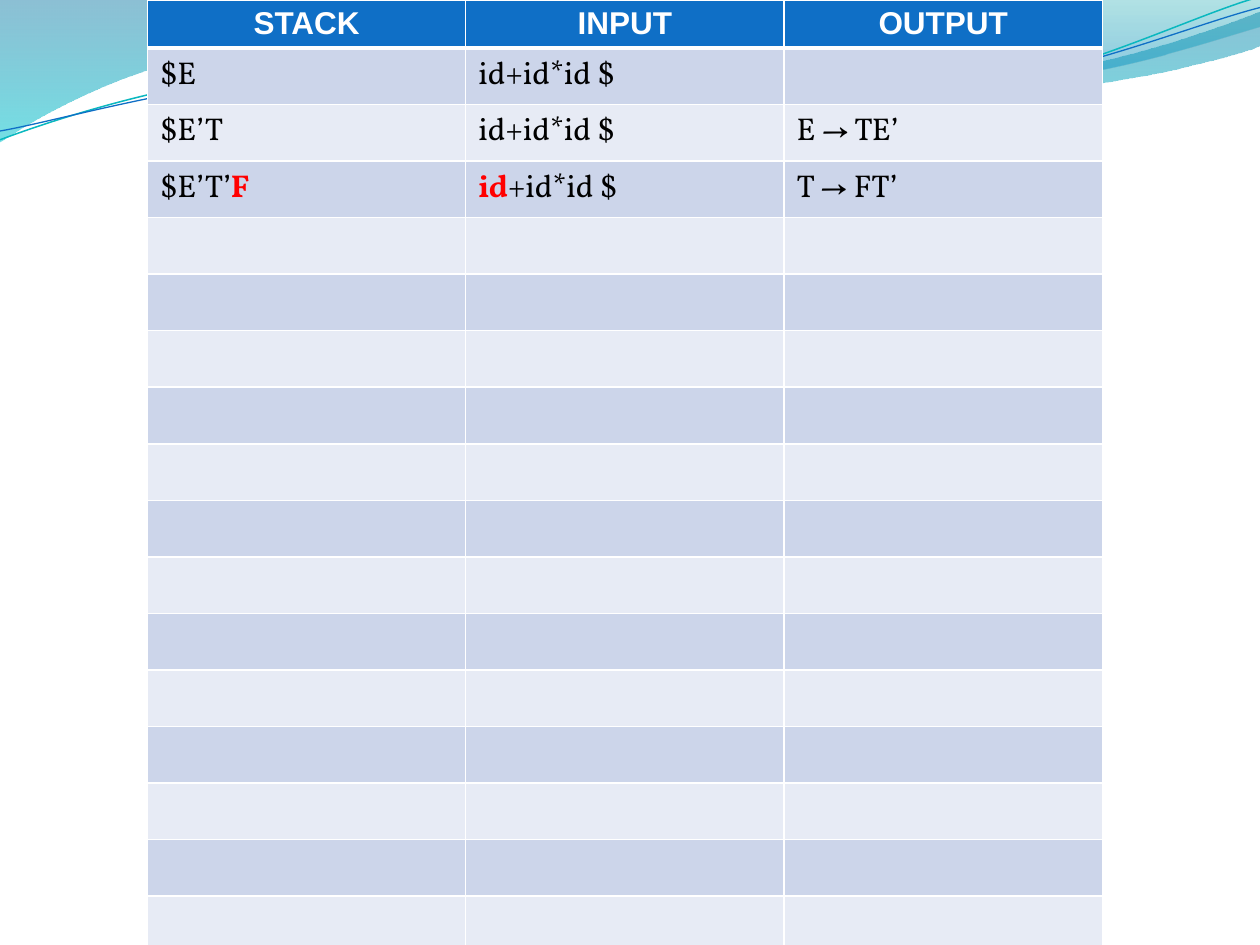
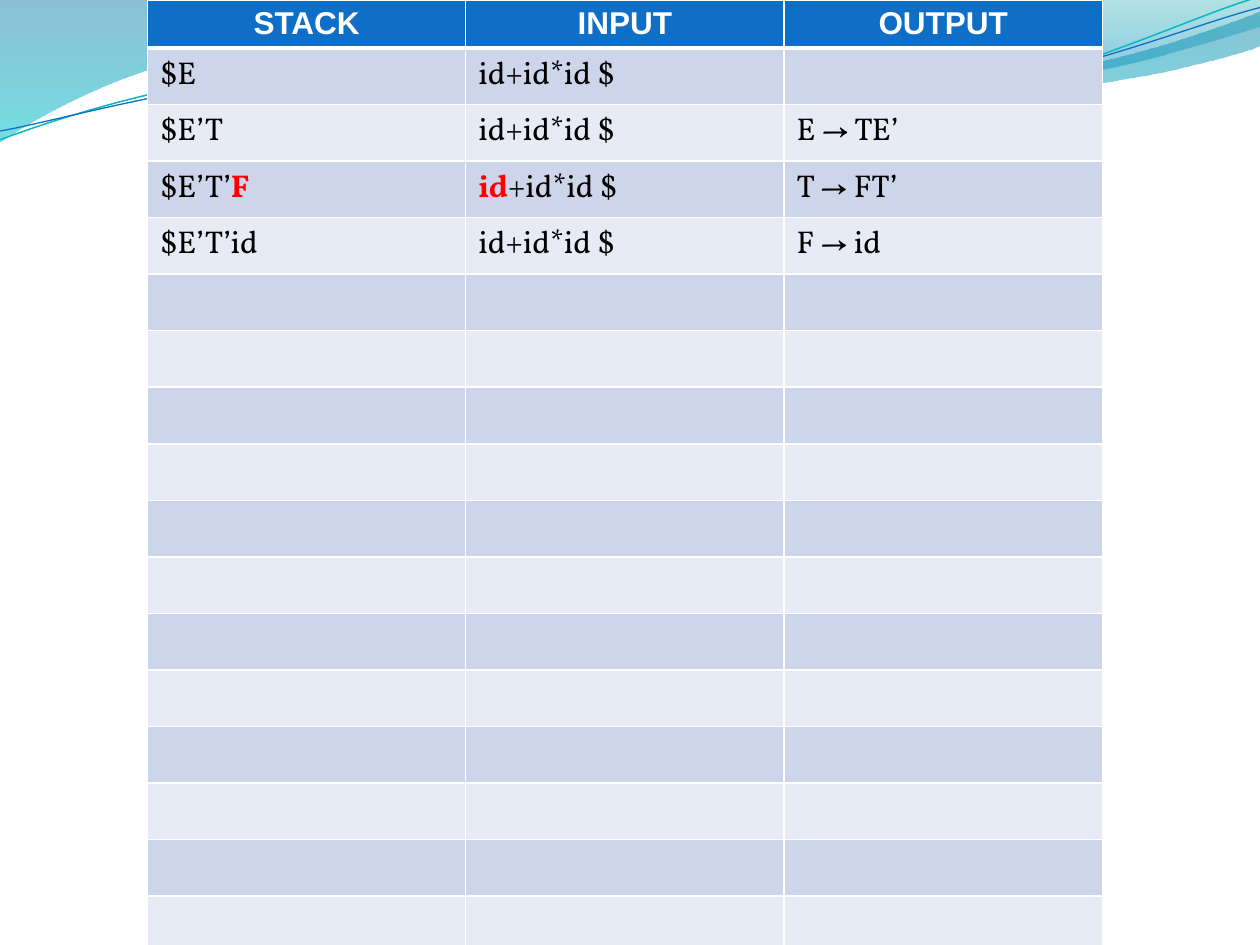
from lxml import etree
from pptx import Presentation
from pptx.dml.color import RGBColor
from pptx.enum import text
from pptx.oxml import ns
from pptx.util import Inches, Pt

COLORS = {
    "white": "FFFFFF", "ink": "000000", "accent": "FF0000", "header": "0F6FC6",
    "odd_row": "CCD5EA", "even_row": "E7EBF5", "teal_line": "0AB8BF",
    "blue": "0074A1", "cyan": "00C6CF", "teal": "00A1A9", "sky": "008BBF",
}
HEADER_FONT, BODY_FONT, FONT_SIZE = "Arial", "Vollkorn", 18
PAGE_BOX = (0, 0, 10, 7.5)
TABLE_BOX = (1.17, 0, 7.58, 7.2)
ROW_COUNT, ROW_HEIGHT = 18, 0.32

# Each outline is a start point, then segments: one point for a line, three for a curve.
LEFT_WAVE = [
    (0, -0.01), [(4.4, -0.01)],
    [(4.76, 0.17), (6.64, 0.63), (7.58, 0.63)], [(8.53, 0.63), (9.58, 0.26), (10, 0.09)],
    [(10.01, 0.36)],
    [(9.83, 0.44), (8.7, 0.76), (7.46, 0.75)], [(6.22, 0.75), (3.82, 0.28), (2.57, 0.34)],
    [(1.29, 0.35), (0.46, 0.83), (-0.01, 1.13)], [(0, -0.01)],
]
RIGHT_WAVE = [
    (4.79, -0.01),
    [(5.09, 0.11), (6.82, 0.62), (7.69, 0.65)], [(8.56, 0.69), (9.61, 0.32), (10, 0.21)],
    [(10, 0)], [(4.79, -0.01)],
]
TEAL_CURVE = [
    (0, 1.11),
    [(0.48, 0.93), (1.58, 0.57), (2.77, 0.52)], [(3.95, 0.47), (5.93, 0.89), (7.13, 0.8)],
    [(8.33, 0.71), (9.38, 0.15), (9.98, -0.02)],
]
BLUE_CURVE = [
    (0, 1.04),
    [(0.47, 0.96), (1.64, 0.61), (2.83, 0.56)], [(4.03, 0.51), (5.97, 0.83), (7.17, 0.75)],
    [(8.36, 0.67), (9.41, 0.21), (10, 0.06)],
]
WAVES = [
    (LEFT_WAVE, [(0, "blue", 45), (100, "cyan", 55)]),
    (RIGHT_WAVE, [(0, "teal", 30), (80, "sky", 45)]),
]
CURVES = [(TEAL_CURVE, "teal_line", 0.85), (BLUE_CURVE, "header", 0.75)]

HEADINGS = ["STACK", "INPUT", "OUTPUT"]
INPUT = [("id+id*id $", False)]
FIRST_MOVES = [
    [[("$E", False)], INPUT, []],
    [[("$E’T", False)], INPUT, [("E → TE’", False)]],
    [[("$E’T’", False), ("F", True)], [("id", True), ("+id*id $", False)], [("T → FT’", False)]],
]
FOURTH_MOVE = [[("$E’T’id", False)], INPUT, [("F → id", False)]]


def rgb(name):
    """Return the named colour."""
    return RGBColor.from_string(COLORS[name])


def add_element(parent, tag, **attributes):
    """Append a DrawingML child with the given attributes."""
    values = {key: str(value) for key, value in attributes.items()}
    return etree.SubElement(parent, ns.qn(f"a:{tag}"), values)


def bend_segments(shape, segments):
    """Merge each three-point segment of a freeform into one cubic curve."""
    lines = iter(list(shape._element.iter(ns.qn("a:lnTo"))))
    for segment in segments:
        group = [next(lines) for _ in segment]
        if len(group) == 3:
            curve = etree.Element(ns.qn("a:cubicBezTo"))
            group[0].addprevious(curve)
            for line in group:
                curve.append(line[0])
                line.getparent().remove(line)


def add_outline(page, box, outline, close):
    """Draw an outline relative to the box, without fill or line."""
    left, top = box[:2]
    start, *segments = outline
    points = [start] + [point for segment in segments for point in segment]
    places = [(Inches(left + x), Inches(top + y)) for x, y in points]
    builder = page.shapes.build_freeform(*places[0])
    builder.add_line_segments(places[1:], close=close)
    shape = builder.convert_to_shape()
    bend_segments(shape, segments)
    shape.shadow.inherit = False
    shape.fill.background()
    shape.line.fill.background()
    return shape


def fill_gradient(shape, stops):
    """Give a shape a downward gradient with translucent stops."""
    old_fill = shape._element.spPr.find(ns.qn("a:noFill"))
    gradient = etree.Element(ns.qn("a:gradFill"), rotWithShape="1")
    stop_list = add_element(gradient, "gsLst")
    for position, color, opacity in stops:
        stop = add_element(stop_list, "gs", pos=position * 1000)
        paint = add_element(stop, "srgbClr", val=COLORS[color])
        add_element(paint, "alpha", val=opacity * 1000)
    add_element(gradient, "lin", ang=90 * 60000, scaled=0)
    old_fill.getparent().replace(old_fill, gradient)


def add_wave_band(page, box):
    """Draw the shared waves and curves along the top of the box."""
    for outline, stops in WAVES:
        fill_gradient(add_outline(page, box, outline, True), stops)
    for outline, color, width in CURVES:
        curve = add_outline(page, box, outline, False)
        curve.line.color.rgb = rgb(color)
        curve.line.width = Pt(width)


def style_cell(cell, fill, top, bottom):
    """Set white borders, with given top and bottom widths, and the fill."""
    properties = cell._tc.get_or_add_tcPr()
    for side, width in (("L", 1), ("R", 1), ("T", top), ("B", bottom)):
        border = add_element(properties, f"ln{side}", w=Pt(width))
        paint = add_element(border, "solidFill")
        add_element(paint, "srgbClr", val=COLORS["white"])
    cell.fill.solid()
    cell.fill.fore_color.rgb = rgb(fill)


def add_span(para, words, font, color, bold):
    """Add one formatted run."""
    span = para.add_run()
    span.text = words
    span.font.name = font
    span.font.size = Pt(FONT_SIZE)
    span.font.bold = bold
    span.font.color.rgb = rgb(color)


def add_parse_table(page, box, moves):
    """Place the parser trace table in the box, with spare rows below the moves."""
    frame = page.shapes.add_table(ROW_COUNT, len(HEADINGS), *map(Inches, box))
    table = frame.table
    for row in table.rows:
        row.height = Inches(ROW_HEIGHT)
    frame.height = Inches(box[3])
    for cell, heading in zip(table.rows[0].cells, HEADINGS):
        style_cell(cell, "header", 1, 3)
        para = cell.text_frame.paragraphs[0]
        para.alignment = text.PP_ALIGN.CENTER
        add_span(para, heading, HEADER_FONT, "white", True)
    spare_rows = [[[]] * len(HEADINGS)] * (ROW_COUNT - 1 - len(moves))
    for number, move in enumerate(moves + spare_rows, 1):
        for cell, spans in zip(table.rows[number].cells, move):
            style_cell(cell, "odd_row" if number % 2 else "even_row", 3 if number == 1 else 1, 1)
            para = cell.text_frame.paragraphs[0]
            for words, marked in spans:
                add_span(para, words, BODY_FONT, "accent" if marked else "ink", marked)
            if not spans:
                ending = add_element(para._p, "endParaRPr", sz=FONT_SIZE * 100)
                add_element(ending, "latin", typeface=BODY_FONT)


def add_trace_page(deck, moves):
    """Add a page with the wave band and the table of moves."""
    page = deck.slides.add_slide(deck.slide_layouts[6])
    add_wave_band(page, PAGE_BOX)
    add_parse_table(page, TABLE_BOX, moves)


def main():
    """Build and save the deck."""
    deck = Presentation()
    deck.slide_width, deck.slide_height = map(Inches, PAGE_BOX[2:])
    for moves in (FIRST_MOVES, FIRST_MOVES + [FOURTH_MOVE]):
        add_trace_page(deck, moves)
    deck.save("out.pptx")


if __name__ == "__main__":
    main()
